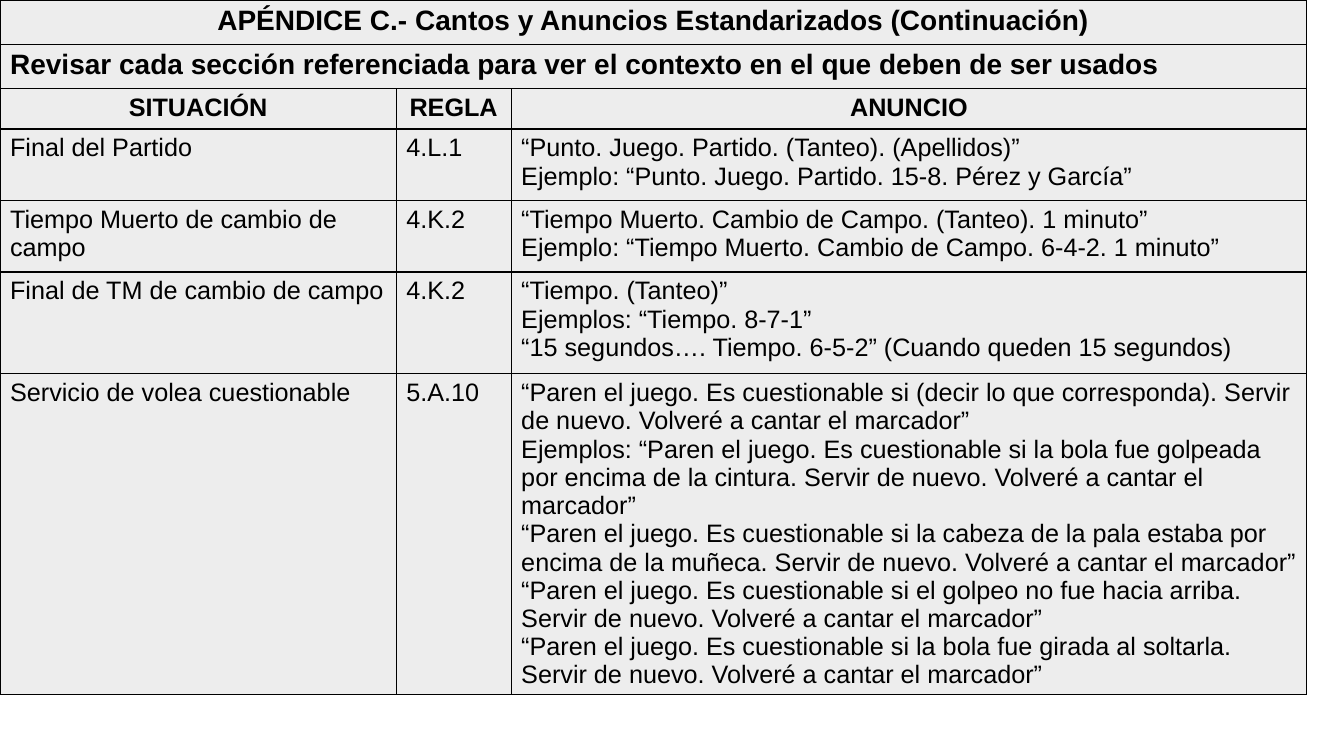
from lxml import etree
from pptx import Presentation
from pptx.dml.color import RGBColor
from pptx.enum.text import PP_ALIGN
from pptx.oxml.ns import qn
from pptx.util import Inches, Pt

BLACK = RGBColor(0x00, 0x00, 0x00)
PALE_GREY = RGBColor(0xED, 0xED, 0xED)
LEFT, CENTER = PP_ALIGN.LEFT, PP_ALIGN.CENTER
FONT = "Arial"
BLANK_LAYOUT = 6

COLUMN_WIDTHS = [3.93, 1.14, 7.89]
ROW_HEIGHTS = [0.44, 0.44, 0.4, 0.71, 0.71, 1.01, 3.17]

BANNERS = [
    ("APÉNDICE C.- Cantos y Anuncios Estandarizados (Continuación)", CENTER),
    ("Revisar cada sección referenciada para ver el contexto en el que deben de ser usados", LEFT),
]
HEADINGS = ["SITUACIÓN", "REGLA", "ANUNCIO"]
REPEAT_CALL = "Servir de nuevo. Volveré a cantar el marcador”"
QUESTIONABLE = "“Paren el juego. Es cuestionable si"

# Situation, rule and the lines of the announcement
CALLS = [
    ("Final del Partido", "4.L.1", [
        "“Punto. Juego. Partido. (Tanteo). (Apellidos)”",
        "Ejemplo: “Punto. Juego. Partido. 15-8. Pérez y García”",
    ]),
    ("Tiempo Muerto de cambio de campo", "4.K.2", [
        "“Tiempo Muerto. Cambio de Campo. (Tanteo). 1 minuto”",
        "Ejemplo: “Tiempo Muerto. Cambio de Campo. 6-4-2. 1 minuto”",
    ]),
    ("Final de TM de cambio de campo", "4.K.2", [
        "“Tiempo. (Tanteo)”",
        "Ejemplos: “Tiempo. 8-7-1”",
        "“15 segundos…. Tiempo. 6-5-2” (Cuando queden 15 segundos)",
    ]),
    ("Servicio de volea cuestionable", "5.A.10", [
        f"{QUESTIONABLE} (decir lo que corresponda). {REPEAT_CALL}",
        f"Ejemplos: {QUESTIONABLE} la bola fue golpeada por encima de la cintura. {REPEAT_CALL}",
        f"{QUESTIONABLE} la cabeza de la pala estaba por encima de la muñeca. {REPEAT_CALL}",
        f"{QUESTIONABLE} el golpeo no fue hacia arriba. {REPEAT_CALL}",
        f"{QUESTIONABLE} la bola fue girada al soltarla. {REPEAT_CALL}",
    ]),
]


def set_borders(cell):
    """Draw a thin black line on all four sides of a cell."""
    properties = cell._tc.get_or_add_tcPr()
    for position, side in enumerate(("lnL", "lnR", "lnT", "lnB")):
        line = etree.Element(qn(f"a:{side}"), w=str(Pt(1)))
        fill = etree.SubElement(line, qn("a:solidFill"))
        etree.SubElement(fill, qn("a:srgbClr"), val=str(BLACK))
        properties.insert(position, line)


def style_cell(cell):
    cell.fill.solid()
    cell.fill.fore_color.rgb = PALE_GREY
    set_borders(cell)


def write_cell(cell, lines, size=18, bold=False, alignment=LEFT):
    cell.text_frame.text = "\n".join(lines)
    for para in cell.text_frame.paragraphs:
        para.alignment = alignment
        for span in para.runs:
            span.font.name = FONT
            span.font.size = Pt(size)
            span.font.bold = bold
            span.font.color.rgb = BLACK


def add_grid(page):
    frame = page.shapes.add_table(
        len(ROW_HEIGHTS), len(COLUMN_WIDTHS), Inches(0), Inches(0),
        Inches(sum(COLUMN_WIDTHS)), Inches(sum(ROW_HEIGHTS)))
    table = frame.table
    for column, width in zip(table.columns, COLUMN_WIDTHS):
        column.width = Inches(width)
    for row, height in zip(table.rows, ROW_HEIGHTS):
        row.height = Inches(height)
    for cell in table.iter_cells():
        style_cell(cell)
    return table


def main():
    deck = Presentation()
    deck.slide_width, deck.slide_height = Inches(13.33), Inches(7.5)
    page = deck.slides.add_slide(deck.slide_layouts[BLANK_LAYOUT])
    table = add_grid(page)

    # Banner rows across the whole table
    last_column = len(COLUMN_WIDTHS) - 1
    for row, (text, alignment) in enumerate(BANNERS):
        banner = table.cell(row, 0)
        banner.merge(table.cell(row, last_column))
        write_cell(banner, [text], size=20, bold=True, alignment=alignment)

    # Column headings
    heading_row = len(BANNERS)
    for column, heading in enumerate(HEADINGS):
        write_cell(table.cell(heading_row, column), [heading], bold=True, alignment=CENTER)

    # Calls and announcements
    for row, (situation, rule, announcement) in enumerate(CALLS, heading_row + 1):
        for column, lines in enumerate(([situation], [rule], announcement)):
            write_cell(table.cell(row, column), lines)

    deck.save("out.pptx")


if __name__ == "__main__":
    main()
